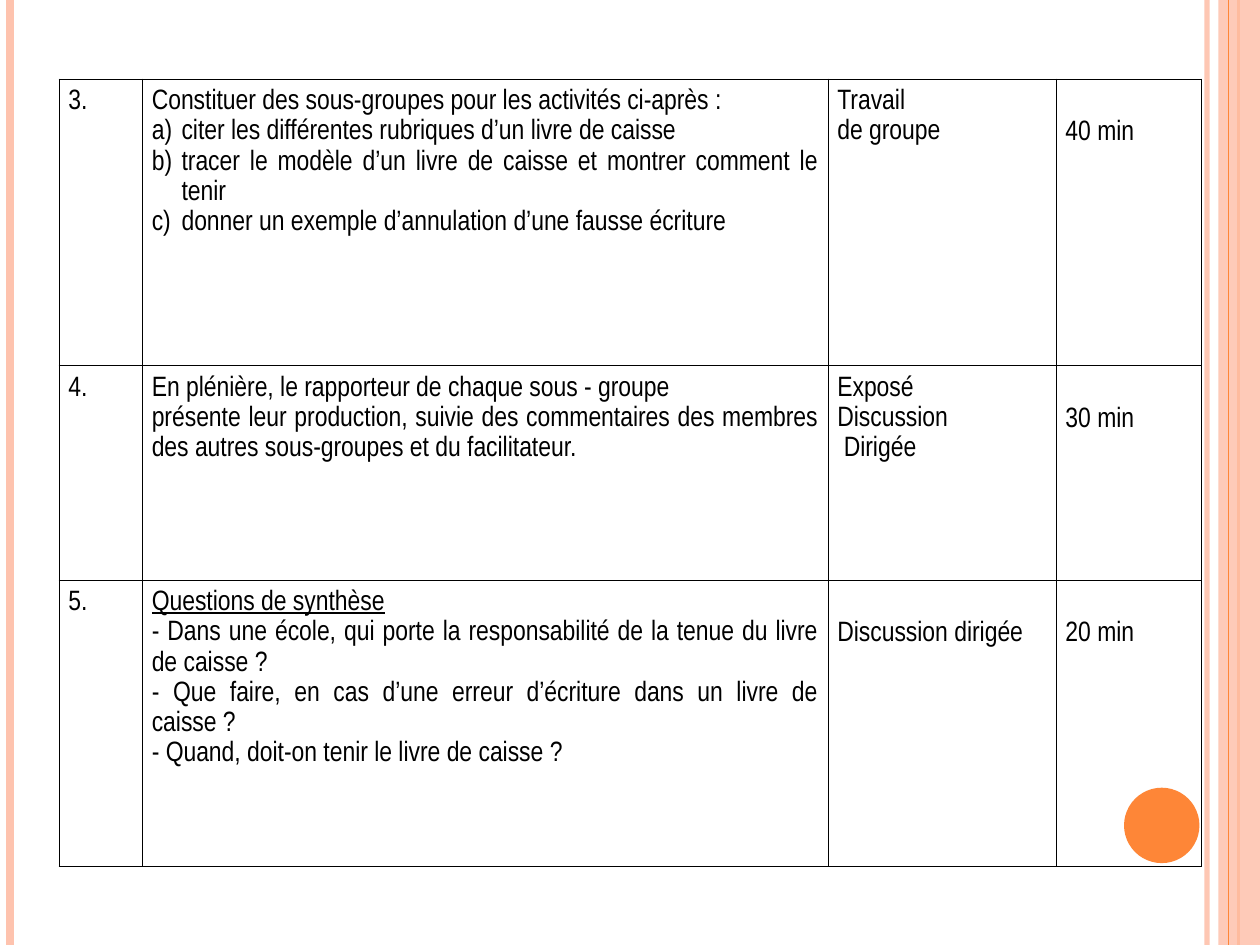
from lxml import etree
from pptx import Presentation
from pptx.dml.color import RGBColor
from pptx.enum.shapes import MSO_CONNECTOR, MSO_SHAPE
from pptx.enum.text import PP_ALIGN
from pptx.oxml.ns import qn
from pptx.util import Cm, Pt

STRAIGHT = MSO_CONNECTOR.STRAIGHT
RECTANGLE, OVAL = MSO_SHAPE.RECTANGLE, MSO_SHAPE.OVAL
JUSTIFY = PP_ALIGN.JUSTIFY

COLORS = {"text": "000000", "border": "000000", "peach": "FEC3AE", "orange": "FE8637"}
SLIDE_W, SLIDE_H = 25.4, 19.05
FONT = {"name": "Arial Narrow", "size": Pt(16)}
MARGINS = {"margin_left": Cm(0.19), "margin_right": Cm(0.19),
           "margin_top": Cm(0.13), "margin_bottom": Cm(0.13)}
SECOND_LINE_TOP = Cm(0.75)
LETTER_INDENT = Cm(0.6)

COLUMN_WIDTHS = [1.68, 13.82, 4.6, 2.92]
ROW_HEIGHTS = [5.78, 4.32, 5.78]

# Each cell is a list of (text, style) paragraphs.
PLAIN, LETTERED, UNDERLINED, INSET, LOWERED = "plain", "lettered", "underlined", "inset", "lowered"
ACTIVITIES = [
    [
        [("3.", PLAIN)],
        [("Constituer des sous-groupes pour les activités ci-après :", PLAIN),
         ("citer les différentes rubriques d’un livre de caisse", LETTERED),
         ("tracer le modèle d’un livre de caisse et montrer comment le tenir", LETTERED),
         ("donner un exemple d’annulation d’une fausse écriture", LETTERED)],
        [("Travail", PLAIN), ("de groupe", PLAIN)],
        [("40 min", LOWERED)],
    ],
    [
        [("4.", PLAIN)],
        [("En plénière, le rapporteur de chaque sous - groupe", PLAIN),
         ("présente leur production, suivie des commentaires des membres "
          "des autres sous-groupes et du facilitateur.", PLAIN)],
        [("Exposé", PLAIN), ("Discussion", PLAIN), ("Dirigée", INSET)],
        [("30 min", LOWERED)],
    ],
    [
        [("5.", PLAIN)],
        [("Questions de synthèse", UNDERLINED),
         ("- Dans une école, qui porte la responsabilité de la tenue du livre de caisse ?", PLAIN),
         ("- Que faire, en cas d’une erreur d’écriture dans un livre de caisse ?", PLAIN),
         ("- Quand, doit-on tenir le livre de caisse ?", PLAIN)],
        [("Discussion dirigée", LOWERED)],
        [("20 min", LOWERED)],
    ],
]


def rgb(color):
    return RGBColor.from_string(COLORS[color])


def set_alpha(element, percent):
    color = element.find(".//" + qn("a:srgbClr"))
    etree.SubElement(color, qn("a:alpha"), val=str(percent * 1000))


def add_rail(slide, x, top, height, color, weight, alpha=100):
    rail = slide.shapes.add_connector(STRAIGHT, Cm(x), Cm(top), Cm(x), Cm(top + height))
    rail.line.color.rgb = rgb(color)
    rail.line.width = Pt(weight)
    properties = rail._element.spPr
    if alpha < 100:
        set_alpha(properties, alpha)
    etree.SubElement(properties, qn("a:effectLst"))


def add_filled(slide, kind, left, top, width, height, color):
    shape = slide.shapes.add_shape(kind, Cm(left), Cm(top), Cm(width), Cm(height))
    shape.shadow.inherit = False
    shape.fill.solid()
    shape.fill.fore_color.rgb = rgb(color)
    shape.line.fill.background()
    return shape


def add_side_decoration(slide, left, top, width, height):
    right = left + width
    add_rail(slide, right - 1.07, top, height, "peach", 3, alpha=93)
    add_rail(slide, left + 0.2, top, height, "peach", 4.5)
    add_rail(slide, right - 0.43, top, height, "orange", 1.5)
    band = add_filled(slide, RECTANGLE, right - 0.84, top, 0.84, height, "peach")
    set_alpha(band._element.spPr, 87)
    add_rail(slide, right - 0.64, top, height, "orange", 0.75)
    add_filled(slide, OVAL, right - 2.74, top + height - 3.17, 1.52, 1.52, "orange")


def outline_cell(cell):
    properties = cell._tc.get_or_add_tcPr()
    for side in ("lnL", "lnR", "lnT", "lnB"):
        border = etree.SubElement(properties, qn(f"a:{side}"), w=str(Pt(0.45)))
        fill = etree.SubElement(border, qn("a:solidFill"))
        etree.SubElement(fill, qn("a:srgbClr"), val=COLORS["border"])
    cell.fill.background()


def write_paragraph(paragraph, text, style):
    paragraph.alignment = JUSTIFY
    paragraph.line_spacing = 1.15
    properties = paragraph._p.get_or_add_pPr()
    if style == LETTERED:
        properties.set("marL", str(LETTER_INDENT))
        properties.set("indent", str(-LETTER_INDENT))
        etree.SubElement(properties, qn("a:buFont"), typeface=FONT["name"])
        etree.SubElement(properties, qn("a:buAutoNum"), type="alphaLcParenR")
    elif style == INSET:
        properties.set("marL", str(Cm(0.13)))
    run = paragraph.add_run()
    run.text = text
    for name, value in FONT.items():
        setattr(run.font, name, value)
    run.font.color.rgb = rgb("text")
    if style == UNDERLINED:
        run.font.underline = True


def fill_cell(cell, paragraphs):
    for name, value in MARGINS.items():
        setattr(cell, name, value)
    if paragraphs[0][1] == LOWERED:
        cell.margin_top = SECOND_LINE_TOP
    outline_cell(cell)
    frame = cell.text_frame
    for index, (text, style) in enumerate(paragraphs):
        paragraph = frame.add_paragraph() if index else frame.paragraphs[0]
        write_paragraph(paragraph, text, style)


def add_activity_table(slide, left, top):
    table = slide.shapes.add_table(
        len(ROW_HEIGHTS), len(COLUMN_WIDTHS), Cm(left), Cm(top),
        Cm(sum(COLUMN_WIDTHS)), Cm(sum(ROW_HEIGHTS))).table
    table.first_row = False
    table.horz_banding = False
    for column, width in zip(table.columns, COLUMN_WIDTHS):
        column.width = Cm(width)
    for row, height, contents in zip(table.rows, ROW_HEIGHTS, ACTIVITIES):
        row.height = Cm(height)
        for cell, paragraphs in zip(row.cells, contents):
            fill_cell(cell, paragraphs)


def main():
    presentation = Presentation()
    presentation.slide_width, presentation.slide_height = Cm(SLIDE_W), Cm(SLIDE_H)
    slide = presentation.slides.add_slide(presentation.slide_layouts[6])
    add_side_decoration(slide, 0, 0, SLIDE_W, SLIDE_H)
    add_activity_table(slide, 1.19, 1.59)
    presentation.save("out.pptx")


if __name__ == "__main__":
    main()
